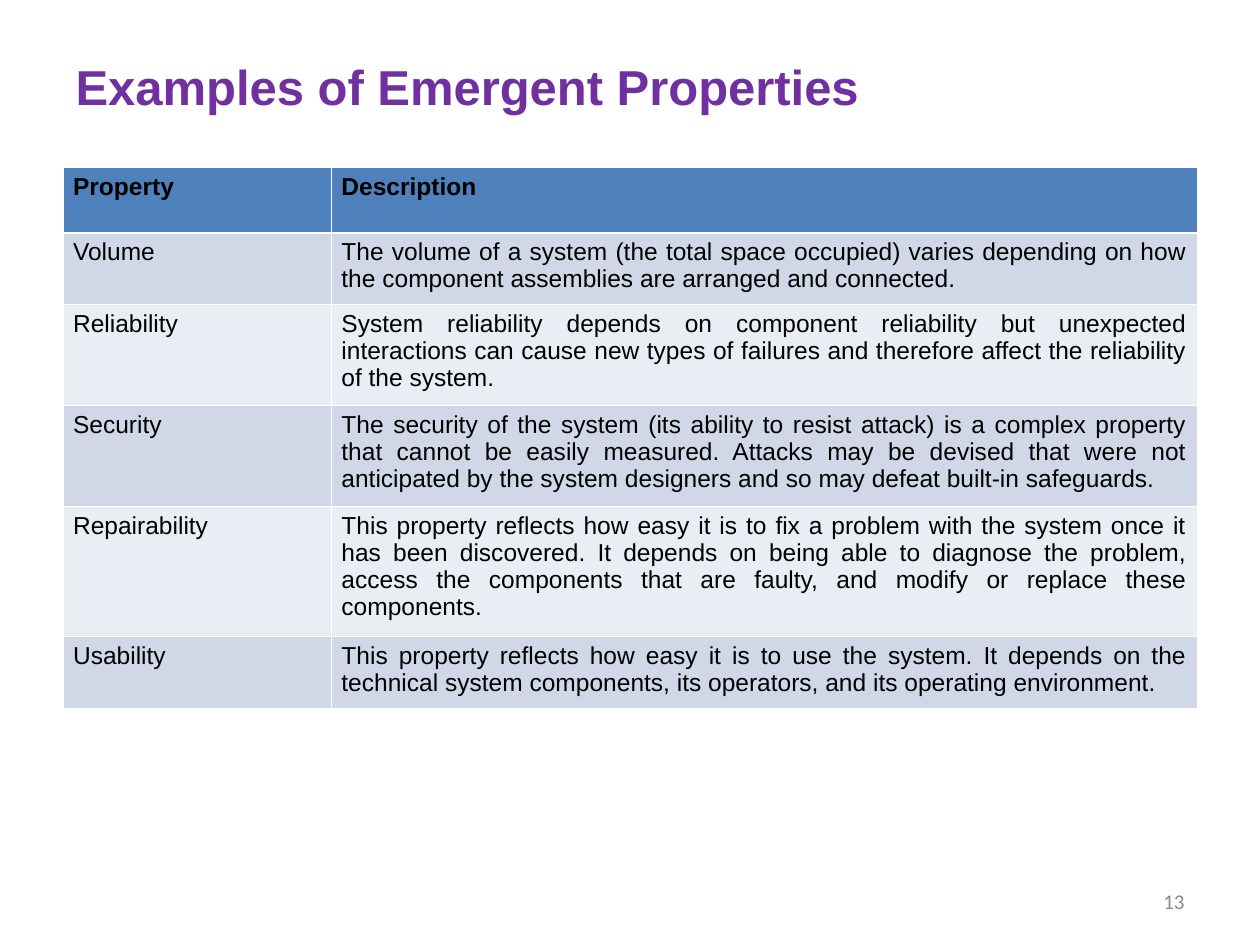
from dataclasses import dataclass

from lxml import etree
from pptx import Presentation
from pptx.dml.color import RGBColor as RGB
from pptx.enum.text import MSO_ANCHOR as ANCHOR, PP_ALIGN as ALIGN
from pptx.oxml.ns import qn
from pptx.util import Inches, Pt


@dataclass(frozen=True)
class Theme:
    font: str = "Arial"
    number_font: str = "Calibri"
    title: str = "7030A0"
    text: str = "000000"
    number: str = "898989"
    header: str = "4F81BD"
    bands: tuple = ("D0D8E8", "E9EDF4")
    border: str = "FFFFFF"
    title_size: float = 28
    body_size: float = 14
    number_size: float = 12
    thin: float = 0.45
    thick: float = 1.47


THEME = Theme()

COLUMNS = (2.13, 6.87)
ROW_HEIGHTS = (0.52, 0.57, 0.8, 0.8, 1.03, 0.57)
ROWS = (
    ("Property", "Description"),
    ("Volume", "The volume of a system (the total space occupied) varies depending on how "
     "the component assemblies are arranged and connected."),
    ("Reliability", "System reliability depends on component reliability but unexpected "
     "interactions can cause new types of failures and therefore affect the reliability "
     "of the system."),
    ("Security", "The security of the system (its ability to resist attack) is a complex "
     "property that cannot be easily measured. Attacks may be devised that were not "
     "anticipated by the system designers and so may defeat built-in safeguards."),
    ("Repairability", "This property reflects how easy it is to fix a problem with the system "
     "once it has been discovered. It depends on being able to diagnose the problem, access "
     "the components that are faulty, and modify or replace these components."),
    ("Usability", "This property reflects how easy it is to use the system. It depends on the "
     "technical system components, its operators, and its operating environment."),
)


def set_attrs(obj, values):
    for name, value in values.items():
        setattr(obj, name, value)


def write(tf, text, color, align, **font):
    """Fill a text frame with one formatted paragraph."""
    tf.word_wrap = True
    p = tf.paragraphs[0]
    p.alignment = align
    r = p.add_run()
    r.text = text
    set_attrs(r.font, font)
    r.font.color.rgb = RGB.from_string(color)
    return p


def set_border(cell, side, width):
    ln = etree.SubElement(cell._tc.get_or_add_tcPr(), qn(f"a:ln{side}"), w=str(Pt(width)))
    fill = etree.SubElement(ln, qn("a:solidFill"))
    etree.SubElement(fill, qn("a:srgbClr"), val=THEME.border)


def place(sp, box):
    set_attrs(sp, dict(zip(("left", "top", "width", "height"), map(Inches, box))))


def add_title(slide, box, text):
    sp = slide.shapes.title
    place(sp, box)
    sp.text_frame.vertical_anchor = ANCHOR.MIDDLE
    write(sp.text_frame, text, THEME.title, ALIGN.LEFT,
          name=THEME.font, size=Pt(THEME.title_size), bold=True)


def format_cell(cell, text, row):
    is_header = row == 0
    set_attrs(cell, {"margin_left": Inches(0.08), "margin_right": Inches(0.08),
                     "margin_top": Inches(0.05), "margin_bottom": Inches(0.05)})
    p = write(cell.text_frame, text, THEME.text, ALIGN.JUSTIFY,
              name=THEME.font, size=Pt(THEME.body_size), bold=is_header)
    p.line_spacing = 0.98
    # Borders come before the fill; the rule under the header is thicker
    widths = {"L": THEME.thin, "R": THEME.thin,
              "T": THEME.thick if row == 1 else THEME.thin,
              "B": THEME.thick if is_header else THEME.thin}
    for side, width in widths.items():
        set_border(cell, side, width)
    cell.fill.solid()
    color = THEME.header if is_header else THEME.bands[(row - 1) % 2]
    cell.fill.fore_color.rgb = RGB.from_string(color)


def add_property_table(slide, box):
    table = slide.shapes.add_table(len(ROWS), len(COLUMNS), *map(Inches, box)).table
    for column, width in zip(table.columns, COLUMNS):
        column.width = Inches(width)
    for i, (height, texts) in enumerate(zip(ROW_HEIGHTS, ROWS)):
        table.rows[i].height = Inches(height)
        for j, text in enumerate(texts):
            format_cell(table.cell(i, j), text, i)


def add_page_number(slide, box, number):
    tf = slide.shapes.add_textbox(*map(Inches, box)).text_frame
    tf.vertical_anchor = ANCHOR.MIDDLE
    write(tf, str(number), THEME.number, ALIGN.RIGHT,
          name=THEME.number_font, size=Pt(THEME.number_size))


def main():
    prs = Presentation()
    prs.slide_width, prs.slide_height = Inches(10), Inches(7.5)
    slide = prs.slides.add_slide(prs.slide_layouts[5])  # Title Only
    add_title(slide, (0.5, 0.28, 9, 0.8), "Examples of Emergent Properties")
    add_property_table(slide, (0.5, 1.33, sum(COLUMNS), sum(ROW_HEIGHTS)))
    add_page_number(slide, (7.17, 6.95, 2.33, 0.4), 13)
    prs.save("out.pptx")


if __name__ == "__main__":
    main()
